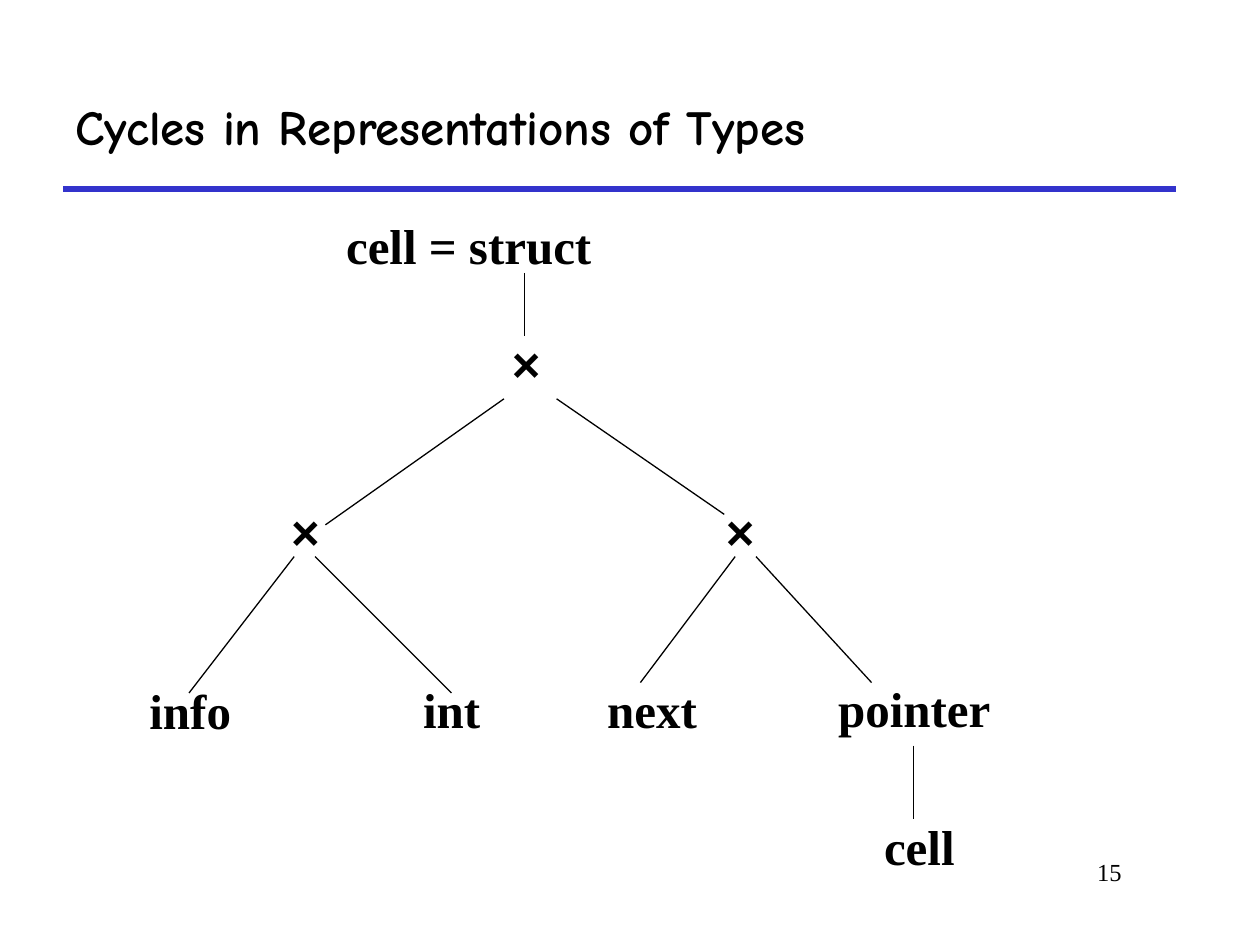
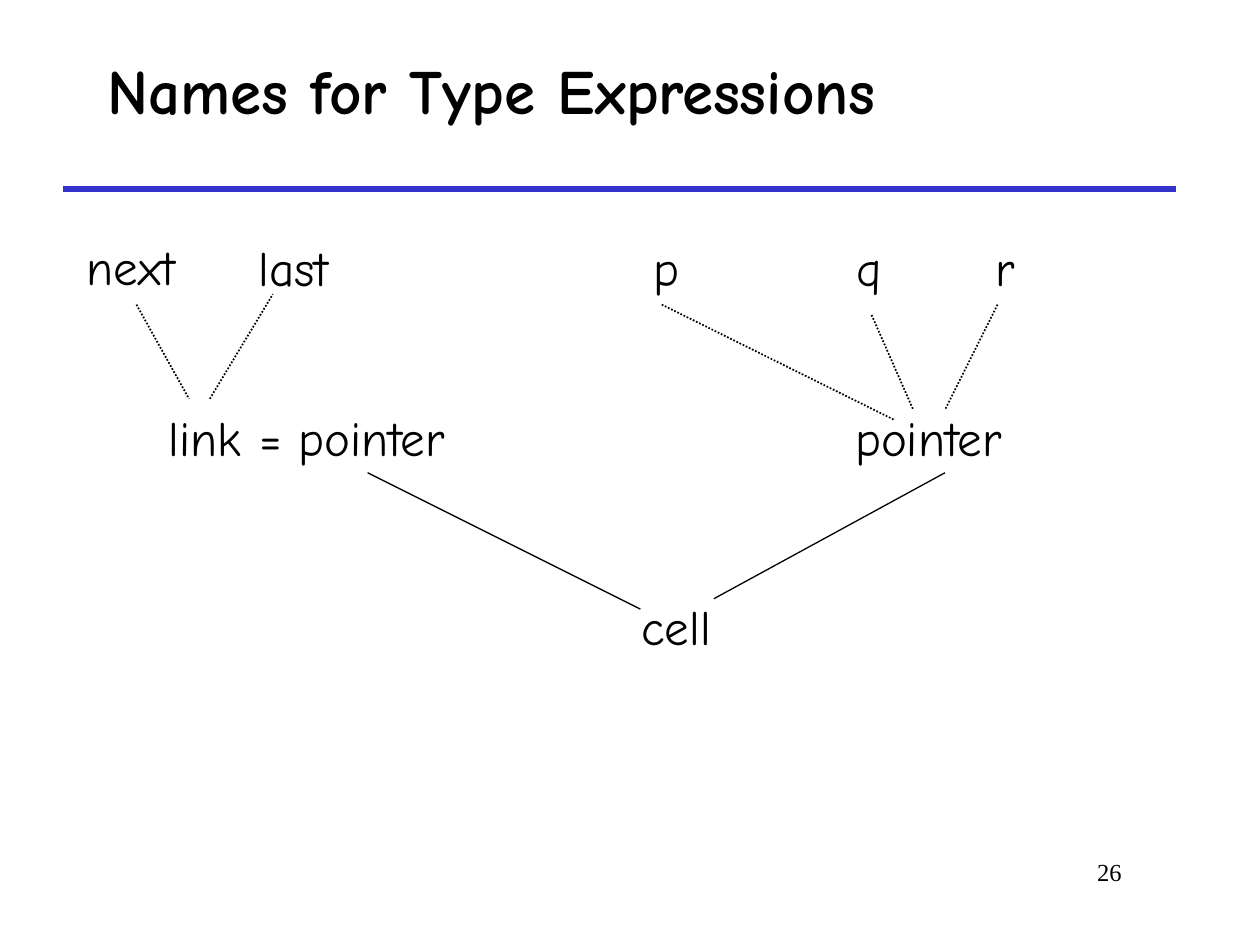
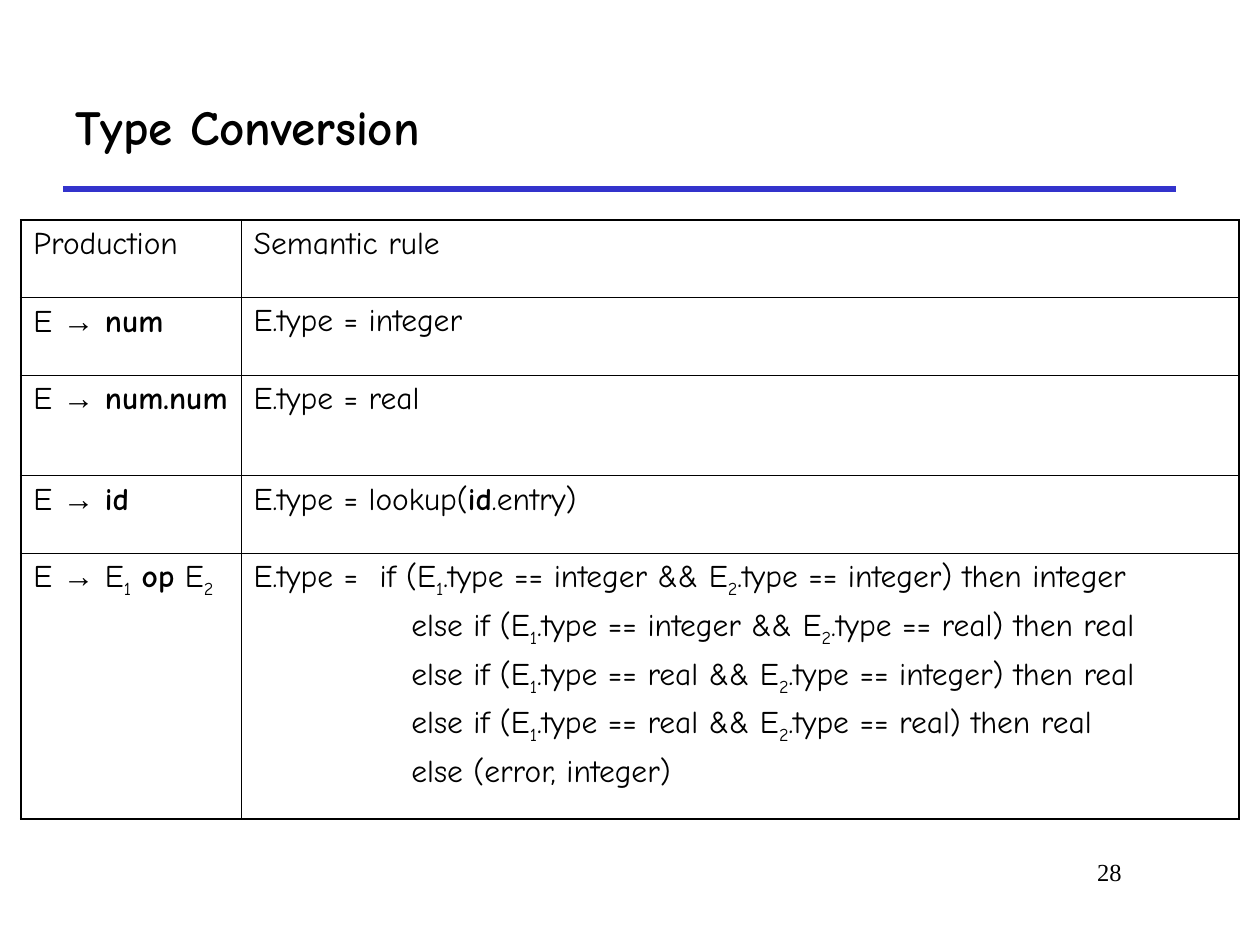
from lxml import etree
from pptx import Presentation
from pptx.dml.color import RGBColor
from pptx.enum import dml, shapes, text
from pptx.oxml import ns
from pptx.util import Cm, Pt

COLOURS = {"ink": "000000", "band": "3333CC"}
COMIC, SERIF, SANS = "Comic Neue", "Times New Roman", "Arial"
LABEL_HEIGHT = 1.45
LABEL_SLACK = 0.2
TITLE_AREA = (1.27, 1.27, 22.43, 2.54)
ELSE_INDENT = 3.18
IF_TAB = 2.54


def colour(name):
    return RGBColor.from_string(COLOURS[name])


def add_span(para, words, font, size, bold=False, subscript=False):
    span = para.add_run()
    span.text = words
    span.font.name = font
    span.font.size = Pt(size)
    span.font.bold = bold
    span.font.color.rgb = colour("ink")
    if subscript:
        span._r.get_or_add_rPr().set("baseline", "-25000")


def add_text(page, area, words, font, size, bold=False, align=text.PP_ALIGN.LEFT):
    box = page.shapes.add_textbox(*map(Cm, area))
    box.text_frame.word_wrap = True
    para = box.text_frame.paragraphs[0]
    para.alignment = align
    add_span(para, words, font, size, bold)
    return box


def add_label(page, words, left, top, width, font=COMIC, bold=False,
              align=text.PP_ALIGN.LEFT, space=0):
    if align == text.PP_ALIGN.CENTER:
        left -= LABEL_SLACK / 2
    area = (left, top, width + LABEL_SLACK, LABEL_HEIGHT)
    frame = add_text(page, area, words, font, 28, bold, align).text_frame
    frame.word_wrap = False
    frame.auto_size = text.MSO_AUTO_SIZE.NONE
    frame.paragraphs[0].space_before = Pt(space)


def add_line(page, ends, width=0.75, name="ink", dotted=False):
    line = page.shapes.add_connector(shapes.MSO_CONNECTOR.STRAIGHT, *map(Cm, ends))
    line.line.width = Pt(width)
    line.line.color.rgb = colour(name)
    if dotted:
        line.line.dash_style = dml.MSO_LINE.ROUND_DOT
    etree.SubElement(line._element.spPr, ns.qn("a:effectLst"))


def add_page(deck, title, number, area=TITLE_AREA, size=28):
    page = deck.slides.add_slide(deck.slide_layouts[6])
    add_line(page, (1.27, 3.81, 23.7, 3.81), 3, "band")
    add_text(page, (17.58, 17.15, 5.28, 1.27), str(number), SERIF, 14,
             align=text.PP_ALIGN.RIGHT)
    box = add_text(page, area, title, COMIC, size, True)
    box.text_frame.vertical_anchor = text.MSO_ANCHOR.MIDDLE
    return page


def set_borders(cell, widths):
    props = cell._tc.get_or_add_tcPr()
    for side, width in zip("LRTB", widths):
        border = etree.SubElement(props, ns.qn(f"a:ln{side}"), w=str(Pt(width)))
        fill = etree.SubElement(border, ns.qn("a:solidFill"))
        etree.SubElement(fill, ns.qn("a:srgbClr"), val=COLOURS["ink"])


def fill_cell(cell, lines):
    for index, spans in enumerate(lines):
        frame = cell.text_frame
        para = frame.add_paragraph() if index else frame.paragraphs[0]
        para.space_before = Pt(4.5)
        props = para._p.get_or_add_pPr()
        if index:
            props.set("marL", str(Cm(ELSE_INDENT)))
            props.set("indent", "0")
        elif "\t" in spans[0][0]:
            tabs = etree.SubElement(props, ns.qn("a:tabLst"))
            etree.SubElement(tabs, ns.qn("a:tab"), pos=str(Cm(IF_TAB)), algn="l")
        for words, style in spans:
            add_span(para, words, SANS if style == "arrow" else COMIC, 18,
                     style == "bold", style == "sub")


def add_grid(page, left, top, columns, heights, rows):
    frame = page.shapes.add_table(len(rows), len(columns), Cm(left), Cm(top),
                                  Cm(sum(columns)), Cm(sum(heights)))
    table = frame.table
    table.first_row = table.horz_banding = False
    for column, width in zip(table.columns, columns):
        column.width = Cm(width)
    for row, height in zip(table.rows, heights):
        row.height = Cm(height)
    last_row, last_column = len(rows) - 1, len(columns) - 1
    for r, row in enumerate(rows):
        for c, lines in enumerate(row):
            cell = table.cell(r, c)
            outer = (c == 0, c == last_column, r == 0, r == last_row)
            set_borders(cell, [1.08 if edge else 0.45 for edge in outer])
            cell.fill.background()
            fill_cell(cell, lines)


def plain(words):
    return [[(words, "")]]


def production(*symbols):
    return [[("E ", ""), ("→", "arrow"), (" ", ""), *symbols]]


def condition(opening, first, second, result):
    return [(f"{opening}if (E", ""), ("1", "sub"), (f".type == {first} && E", ""),
            ("2", "sub"), (f".type == {second}) then {result}", "")]


def build_cycles(deck):
    page = add_page(deck, "Cycles in Representations of Types", 15)
    labels = [
        ("cell = struct", 6.73, 4.22, 5.44),
        ("×", 9.96, 6.6, 1.3),
        ("×", 14.27, 9.98, 1.3),
        ("×", 5.51, 9.98, 1.3),
        ("info", 2.77, 13.6, 2.13),
        ("int", 8.28, 13.57, 1.65),
        ("next", 11.99, 13.57, 2.31),
        ("pointer", 16.64, 13.55, 3.58),
        ("cell", 17.57, 16.33, 1.93),
    ]
    for label in labels:
        font = SANS if label[0] == "×" else SERIF
        add_label(page, *label, font, True, text.PP_ALIGN.CENTER, 17.5)
    branches = [
        (10.58, 5.5, 10.58, 6.77),
        (10.16, 8.04, 6.56, 10.58),
        (11.22, 8.04, 14.6, 10.37),
        (5.93, 11.22, 3.81, 13.97),
        (6.35, 11.22, 9.1, 13.97),
        (14.82, 11.22, 12.91, 13.76),
        (15.24, 11.22, 17.57, 13.76),
        (18.41, 15.03, 18.41, 16.51),
    ]
    for ends in branches:
        add_line(page, ends)


def build_names(deck):
    page = add_page(deck, "Names for Type Expressions", 26,
                    (1.91, 0.85, 21.59, 1.9), 36)
    labels = [
        ("next", 1.5, 4.64, 2.29),
        ("last", 4.96, 4.66, 1.93),
        ("p", 12.93, 4.66, 1.02),
        ("q", 17.02, 4.66, 1.02),
        ("r", 19.81, 4.66, 0.89),
        ("link", 3.15, 8.09, 1.96),
        ("= pointer", 4.98, 8.09, 4.27),
        ("pointer", 16.99, 8.09, 3.48),
        ("cell", 12.68, 11.9, 1.9),
    ]
    for label in labels:
        add_label(page, *label)
    name_links = [
        (2.75, 6.14, 3.81, 8.04),
        (4.23, 8.04, 5.5, 5.93),
        (13.34, 6.14, 18.04, 8.47),
        (17.57, 6.35, 18.41, 8.26),
        (20.11, 6.14, 19.05, 8.26),
    ]
    for ends in name_links:
        add_line(page, ends, 1, dotted=True)
    for ends in [(7.41, 9.53, 12.91, 12.28), (19.05, 9.53, 14.39, 12.07)]:
        add_line(page, ends)


def build_conversion(deck):
    page = add_page(deck, "Type Conversion", 28)
    lookup = [[("E.type = lookup(", ""), ("id", "bold"), (".entry)", "")]]
    operation = production(("E", ""), ("1", "sub"), (" ", ""), ("op", "bold"),
                           (" E", ""), ("2", "sub"))
    cases = [
        condition("E.type =\t", "integer", "integer", "integer"),
        condition("else ", "integer", "real", "real"),
        condition("else ", "real", "integer", "real"),
        condition("else ", "real", "real", "real"),
        [("else (error, integer)", "")],
    ]
    rows = [
        (plain("Production"), plain("Semantic rule")),
        (production(("num", "bold")), plain("E.type = integer")),
        (production(("num.num", "bold")), plain("E.type = real")),
        (production(("id", "bold")), lookup),
        (operation, cases),
    ]
    add_grid(page, 0.42, 4.44, (4.44, 20.12), (1.55, 1.57, 2.03, 1.56, 5.36), rows)


def main():
    deck = Presentation()
    deck.slide_width, deck.slide_height = Cm(25.4), Cm(19.05)
    build_cycles(deck)
    build_names(deck)
    build_conversion(deck)
    deck.save("out.pptx")


if __name__ == "__main__":
    main()
